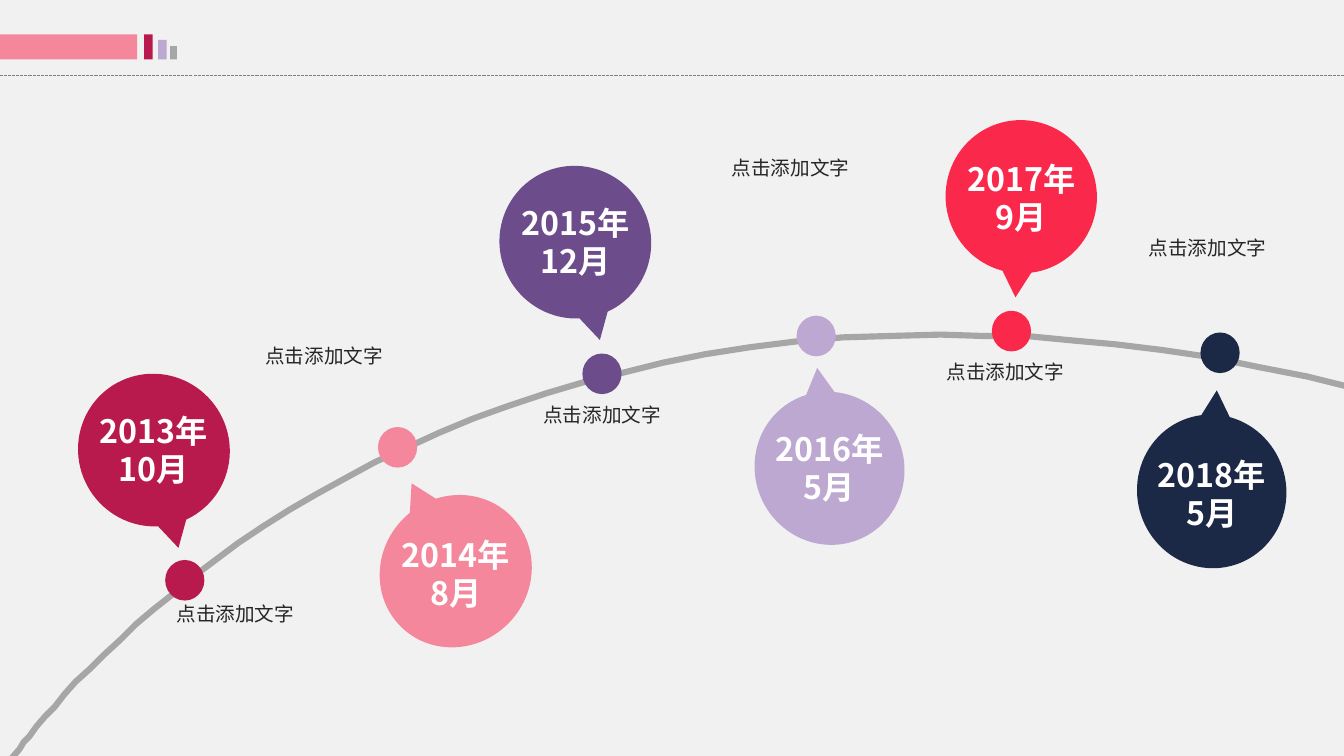
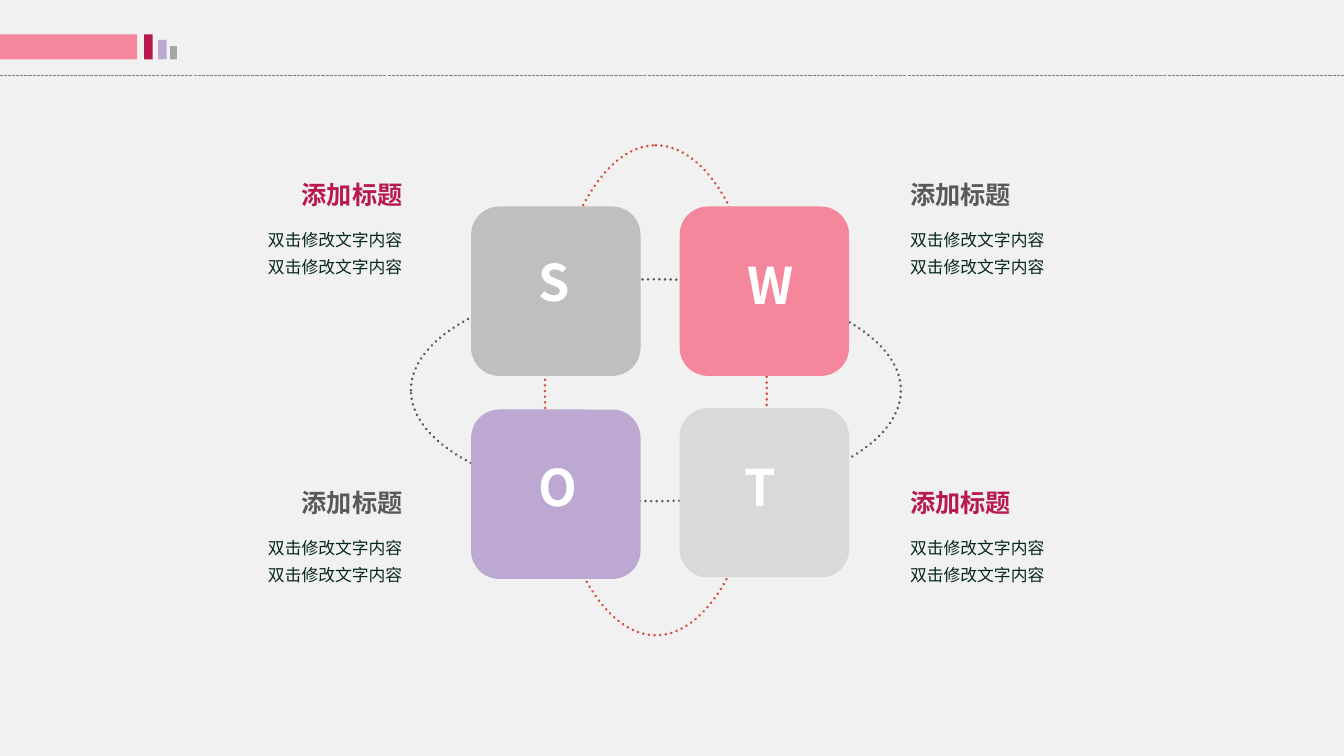
from lxml import etree
from pptx import Presentation
from pptx.dml.color import RGBColor
from pptx.enum.dml import MSO_LINE
from pptx.enum.shapes import MSO_CONNECTOR, MSO_SHAPE
from pptx.enum.text import PP_ALIGN
from pptx.oxml.ns import qn
from pptx.util import Pt

RECT = MSO_SHAPE.RECTANGLE
ROUND = MSO_SHAPE.ROUNDED_RECTANGLE
OVAL = MSO_SHAPE.OVAL
BUBBLE = MSO_SHAPE.OVAL_CALLOUT
LINE = MSO_CONNECTOR.STRAIGHT
DASH = MSO_LINE.SQUARE_DOT
DOT = MSO_LINE.ROUND_DOT
LEFT, MID, RIGHT = PP_ALIGN.LEFT, PP_ALIGN.CENTER, PP_ALIGN.RIGHT


class Theme:
    font = "Noto Sans CJK SC"
    paper = RGBColor.from_string("F1F1F1")
    white = RGBColor.from_string("FFFFFF")
    ink = RGBColor.from_string("262626")
    green = RGBColor.from_string("07271E")
    wine = RGBColor.from_string("B81A4D")
    pink = RGBColor.from_string("F4879C")
    lilac = RGBColor.from_string("BDA8D1")
    purple = RGBColor.from_string("6C4C8B")
    red = RGBColor.from_string("FA284B")
    navy = RGBColor.from_string("1B2946")
    brick = RGBColor.from_string("D5493A")
    dark = RGBColor.from_string("595959")
    rule = RGBColor.from_string("808080")
    gray = RGBColor.from_string("A6A6A6")
    silver = RGBColor.from_string("BFBFBF")
    pale = RGBColor.from_string("D9D9D9")
    small, label, head, year, letter = 12, 14, 18, 23, 36


def add_form(slide, kind, x, y, w, h, fill, turn=0):
    form = slide.shapes.add_shape(kind, Pt(x), Pt(y), Pt(w), Pt(h))
    form.shadow.inherit = False
    form.rotation = turn
    form.line.fill.background()
    if fill is None:
        form.fill.background()
    else:
        form.fill.solid()
        form.fill.fore_color.rgb = fill
    return form


def add_text(slide, x, y, w, h, lines, size, color, bold=False, align=LEFT, pad=(7.2, 3.6), lead=None):
    frame = slide.shapes.add_textbox(Pt(x), Pt(y), Pt(w), Pt(h)).text_frame
    frame.word_wrap = True
    frame.margin_left = frame.margin_right = Pt(pad[0])
    frame.margin_top = frame.margin_bottom = Pt(pad[1])
    for i, line in enumerate(lines):
        para = frame.add_paragraph() if i else frame.paragraphs[0]
        para.alignment = align
        para.line_spacing = lead
        run = para.add_run()
        run.text = line
        run.font.size = Pt(size)
        run.font.bold = bold
        run.font.color.rgb = color
        run.font.name = Theme.font
        etree.SubElement(run._r.get_or_add_rPr(), qn("a:ea"), typeface=Theme.font)


deck = Presentation()
deck.slide_width, deck.slide_height = Pt(960), Pt(540)
back = deck.slide_master.background.fill
back.solid()
back.fore_color.rgb = Theme.paper

bars = [
    (-2, 24.5, 100, Theme.pink),
    (103, 24.5, 6, Theme.wine),
    (113, 28.5, 6, Theme.lilac),
    (121.5, 33, 5, Theme.gray),
]
slides = [deck.slides.add_slide(deck.slide_layouts[6]) for _ in range(2)]
for slide in slides:
    rule = slide.shapes.add_connector(LINE, Pt(960), Pt(54), Pt(0), Pt(54))
    rule.line.color.rgb = Theme.rule
    rule.line.width = Pt(0.75)
    rule.line.dash_style = DASH
    etree.SubElement(rule._element.spPr, qn("a:effectLst"))
    for x, y, w, fill in bars:
        add_form(slide, RECT, x, y, w, 42.5 - y, fill)

road, swot = slides

curve = [
    (8.5, 542), (14, 535), (17, 530.5), (21, 526), (26, 519), (32, 512),
    (39, 505), (46.5, 496), (54.5, 487), (63.5, 477.5), (74, 467.5),
    (85.5, 457), (97, 446), (110, 435), (124, 423.5), (138.5, 411.5),
    (154, 399.5), (170.5, 388), (188.5, 376), (207, 364.5), (226, 353),
    (246.5, 341.5), (268, 330), (290, 319.5), (313.5, 309), (338, 299),
    (363, 289.5), (389.5, 281), (417, 273), (445.5, 265.5), (474.5, 259),
    (504.5, 253), (535.5, 248), (568.5, 244), (602, 241), (636, 239.5),
    (672, 239), (702, 239.5), (733, 240.5), (764.5, 243), (797, 246),
    (830, 250), (863.5, 255), (898.5, 261.5), (934, 269), (970, 277.5),
]
pen = road.shapes.build_freeform(*curve[0], scale=Pt(1))
pen.add_line_segments(curve[1:], close=False)
path_form = pen.convert_to_shape()
path_form.shadow.inherit = False
path_form.fill.background()
path_form.line.color.rgb = Theme.gray
path_form.line.width = Pt(4.4)

stops = [
    ("2013年", "10月", Theme.wine, (110, 321.5), (108, 109.5), 327.7, 0, (132, 414.5), (126, 430)),
    ("2014年", "8月", Theme.pink, (325.5, 408), (111.5, 106), 134, 2, (284, 319.5), (189.5, 246)),
    ("2015年", "12月", Theme.purple, (411, 173), (108, 109.5), 327.7, 0, (430, 267), (388, 288)),
    ("2016年", "5月", Theme.lilac, (592.5, 334.5), (106.5, 110), 155.1, 0, (583, 240), (522.5, 111.5)),
    ("2017年", "9月", Theme.red, (729.5, 140.5), (108, 109.5), 345.1, 1, (722.5, 236.5), (676, 257)),
    ("2018年", "5月", Theme.navy, (865.5, 351), (106.5, 110), 165, 2, (871.5, 252), (820.5, 168.5)),
]
for year, month, color, (x, y), (w, h), turn, drop, dot, note in stops:
    add_form(road, BUBBLE, x - w / 2, y - h / 2, w, h, color, turn)
    add_form(road, OVAL, dot[0] - 14, dot[1] - 14.5, 28, 29, color)
    add_text(road, *note, 110, 24, ["点击添加文字"], Theme.label, Theme.ink, pad=(0, 0))
    add_text(road, x - 49.5, y - 31.5 + drop, 99, 63, [year, month], Theme.year,
             Theme.white, True, MID, pad=(0, 3.6))

for turn, color in [(0, Theme.dark), (90, Theme.brick)]:
    ring = add_form(swot, OVAL, 293.5, 199.5, 350, 158.5, None, turn)
    ring.line.color.rgb = color
    ring.line.width = Pt(2)
    ring.line.dash_style = DOT
    ring.line._get_or_add_ln().set("cap", "rnd")

tiles = [
    ("S", 336.5, 147.5, Theme.silver, 371.5, 175.5, 49),
    ("W", 485.5, 147.5, Theme.pink, 516, 178, 68.5),
    ("O", 336.5, 292.5, Theme.lilac, 367, 322.5, 62.5),
    ("T", 485.5, 291.5, Theme.pale, 520, 322.5, 45.5),
]
for letter, x, y, fill, left, top, w in tiles:
    add_form(swot, ROUND, x, y, 121, 121, fill)
    add_text(swot, left, top, w, 51, [letter], Theme.letter, Theme.white, True, MID)

notes = [
    (31, 124.5, RIGHT, Theme.wine),
    (643, 124.5, LEFT, Theme.dark),
    (31, 344.5, RIGHT, Theme.dark),
    (643, 344.5, LEFT, Theme.wine),
]
for x, y, align, color in notes:
    add_text(swot, x, y, 263.5, 29, ["添加标题"], Theme.head, color, True, align)
    add_text(swot, x, y + 32, 263.5, 45, ["双击修改文字内容"] * 2, Theme.small,
             Theme.green, align=align, lead=1.3)

deck.save("out.pptx")
